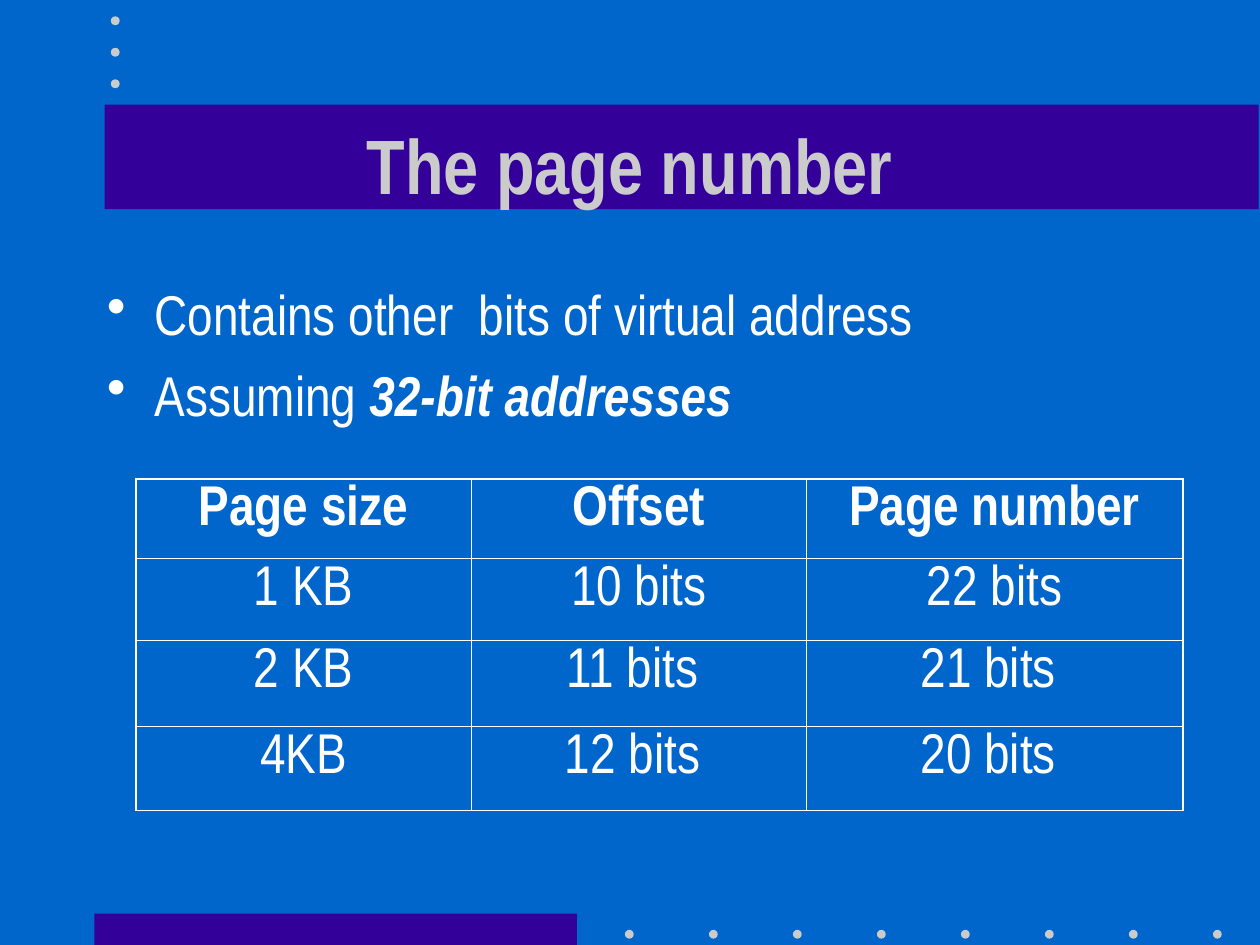
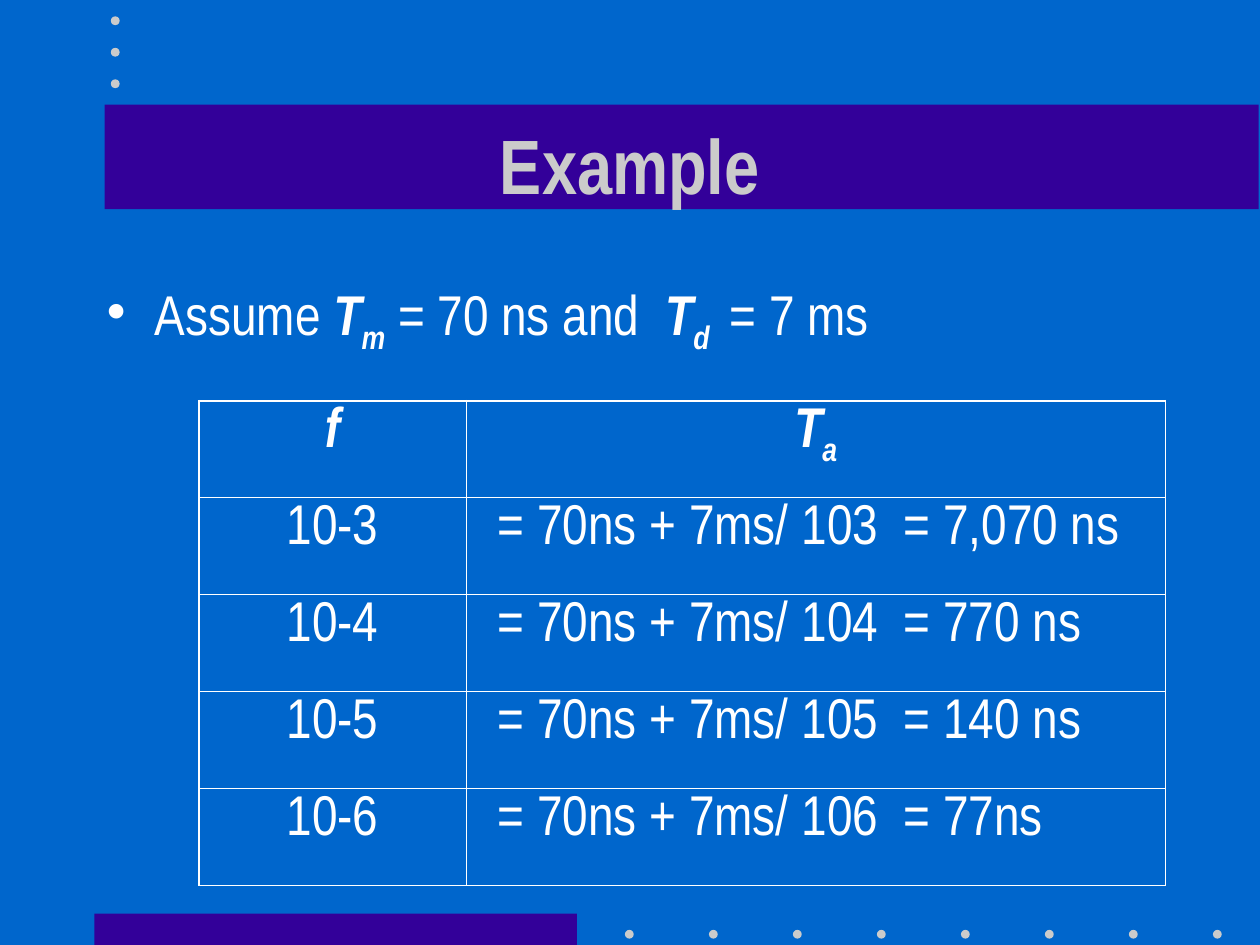
import pptx
import pptx.dml.color
import pptx.enum.shapes
import pptx.enum.text
import pptx.oxml
import pptx.oxml.ns
import pptx.util

Inches, Pt = pptx.util.Inches, pptx.util.Pt
RGBColor = pptx.dml.color.RGBColor
SHAPE = pptx.enum.shapes.MSO_SHAPE
ALIGN = pptx.enum.text.PP_ALIGN
ANCHOR = pptx.enum.text.MSO_ANCHOR

# Shared style
BLUE = RGBColor(0x00, 0x66, 0xCC)
PURPLE = RGBColor(0x33, 0x00, 0x99)
GREY = RGBColor(0xCB, 0xCB, 0xCB)
WHITE = RGBColor(0xFF, 0xFF, 0xFF)
FONT = "Arial Narrow"
TITLE_SIZE, TEXT_SIZE = 44, 32
OUTER_LINE, INNER_LINE = 1.08, 0.45
BANDS = [(0.75, 7.25, 3.83, 0.25), (0.83, 0.83, 9.16, 0.83)]
DOT = 0.07
DOTS = ([(4.96 + i * 2 / 3, 7.38) for i in range(8)]
        + [(0.88, 0.13 + i * 0.25) for i in range(3)])

# Content: a paragraph is a list of (text, style) runs;
# style letters are b = bold, i = italic, s = subscript
SLIDES = [
    {
        "title": "The page number",
        "bullets": [
            [("Contains other  bits of virtual address", "")],
            [("Assuming", ""), (" 32-bit addresses", "bi")],
        ],
        "table": {
            "at": (1.08, 3.8),
            "cols": [2.66, 2.66, 2.99],
            "heights": [0.63, 0.65, 0.68, 0.67],
            "left_cols": [],
            "head": [[("Page size", "b")], [("Offset", "b")],
                     [("Page number", "b")]],
            "rows": [
                ("1 KB", "10 bits", "22 bits"),
                ("2 KB", "11 bits ", "21 bits "),
                ("4KB", "12 bits ", "20 bits "),
            ],
        },
    },
    {
        "title": "Example",
        "bullets": [
            [("Assume ", ""), ("T", "bi"), ("m", "bis"),
             (" = 70 ns and", ""), ("  T", "bi"), ("d ", "bis"),
             (" = 7 ms", "")],
        ],
        "table": {
            "at": (1.58, 3.18),
            "cols": [2.12, 5.55],
            "heights": [0.77] * 5,
            "left_cols": [1],
            "head": [[("f", "bi")], [("T", "bi"), ("a", "bis")]],
            "rows": [
                ("10-3", "= 70ns + 7ms/ 103  = 7,070 ns"),
                ("10-4", "= 70ns + 7ms/ 104  = 770 ns"),
                ("10-5", "= 70ns + 7ms/ 105  = 140 ns"),
                ("10-6", "= 70ns + 7ms/ 106  = 77ns"),
            ],
        },
    },
]


def xml(text):
    return pptx.oxml.parse_xml(
        text.replace(" ", f" {pptx.oxml.ns.nsdecls('a')} ", 1))


def add_runs(p, runs, size=TEXT_SIZE, color=WHITE):
    for text, style in runs:
        r = p.add_run()
        r.text = text
        r.font.name, r.font.size = FONT, Pt(size)
        r.font.color.rgb = color
        r.font.bold, r.font.italic = "b" in style, "i" in style
        if "s" in style:
            r._r.get_or_add_rPr().set("baseline", "-25000")


def add_filled(s, kind, box, color):
    sp = s.shapes.add_shape(kind, *map(Inches, box))
    sp.shadow.inherit = False
    sp.fill.solid()
    sp.fill.fore_color.rgb = color
    sp.line.fill.background()


def add_decor(s):
    s.background.fill.solid()
    s.background.fill.fore_color.rgb = BLUE
    for box in BANDS:
        add_filled(s, SHAPE.RECTANGLE, box, PURPLE)
    for x, y in DOTS:
        add_filled(s, SHAPE.OVAL, (x, y, DOT, DOT), GREY)


def add_text_frame(s, *box):
    tf = s.shapes.add_textbox(*map(Inches, box)).text_frame
    tf.word_wrap = True
    return tf


def add_title(s, title):
    tf = add_text_frame(s, 0.75, 0.67, 8.5, 1.25)
    tf.vertical_anchor = ANCHOR.MIDDLE
    p = tf.paragraphs[0]
    p.alignment = ALIGN.CENTER
    add_runs(p, [(title, "b")], TITLE_SIZE, GREY)


def add_bullets(s, bullets):
    tf = add_text_frame(s, 0.75, 2.17, 8.5, 4.5)
    for i, runs in enumerate(bullets):
        p = tf.add_paragraph() if i else tf.paragraphs[0]
        if i:
            p.space_before = Pt(8)
        pPr = p._p.get_or_add_pPr()
        pPr.set("marL", str(Inches(0.38)))
        pPr.set("indent", str(-Inches(0.38)))
        pPr.append(xml(f'<a:buClr ><a:srgbClr val="{WHITE}"/></a:buClr>'))
        pPr.append(xml('<a:buChar char="•"/>'))
        add_runs(p, runs)


def set_borders(cell, outer):
    """Give each side the outer or the inner line width."""
    tcPr = cell._tc.get_or_add_tcPr()
    for i, side in enumerate("LRTB"):
        width = Pt(OUTER_LINE if outer[side] else INNER_LINE)
        tcPr.insert(i, xml(
            f'<a:ln{side} w="{width}"><a:solidFill>'
            f'<a:srgbClr val="{WHITE}"/></a:solidFill></a:ln{side}>'))


def add_grid(s, at, cols, heights, left_cols, head, rows):
    cells = [head] + [[[(text, "")] for text in row] for row in rows]
    box = (*at, sum(cols), sum(heights))
    table = s.shapes.add_table(len(heights), len(cols),
                               *map(Inches, box)).table
    table.first_row = table.horz_banding = False
    for col, width in zip(table.columns, cols):
        col.width = Inches(width)
    for i, (height, row) in enumerate(zip(heights, cells)):
        table.rows[i].height = Inches(height)
        for j, runs in enumerate(row):
            cell = table.cell(i, j)
            cell.fill.background()
            set_borders(cell, {"L": j == 0, "R": j == len(cols) - 1,
                               "T": i == 0, "B": i == len(heights) - 1})
            p = cell.text_frame.paragraphs[0]
            if i and j in left_cols:
                cell.margin_left = Inches(0.25)
            else:
                p.alignment = ALIGN.CENTER
            add_runs(p, runs)


def main():
    prs = pptx.Presentation()
    prs.slide_width, prs.slide_height = Inches(10), Inches(7.5)
    for content in SLIDES:
        s = prs.slides.add_slide(prs.slide_layouts[6])
        add_decor(s)
        add_title(s, content["title"])
        add_bullets(s, content["bullets"])
        add_grid(s, **content["table"])
    prs.save("out.pptx")


if __name__ == "__main__":
    main()
